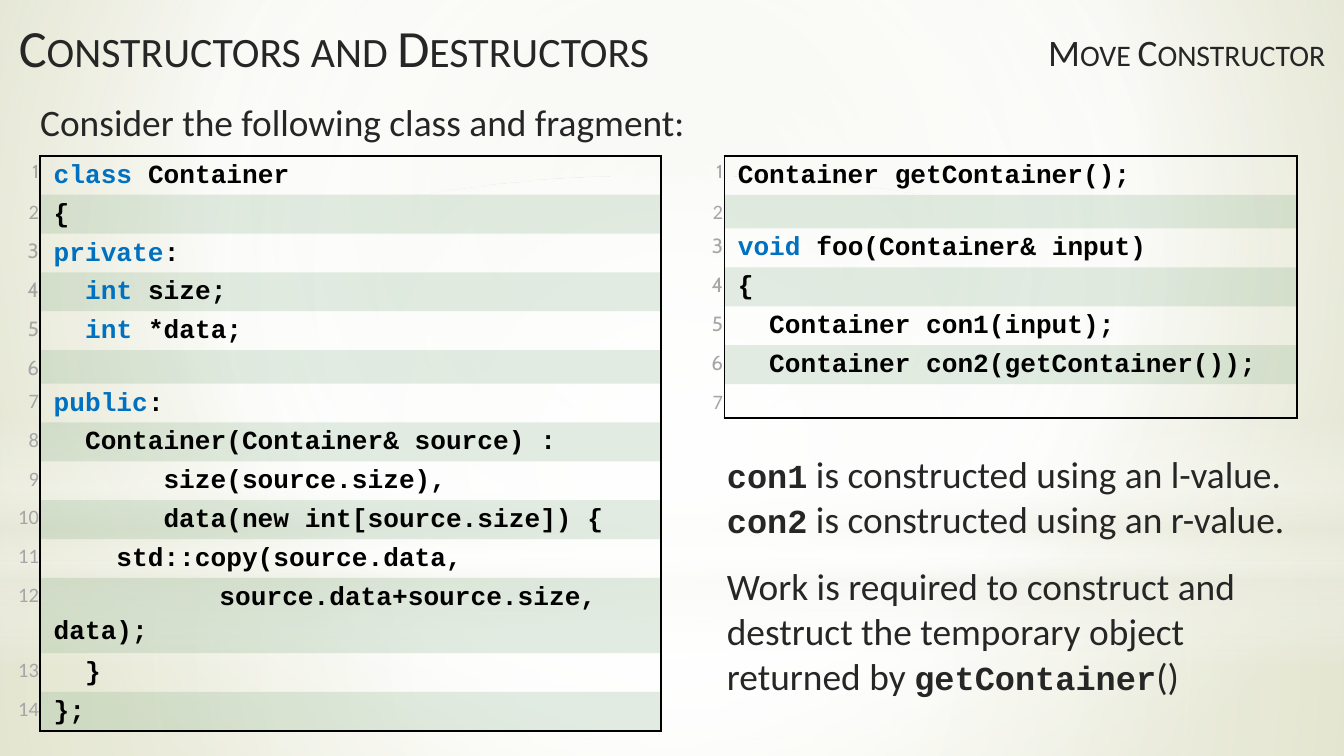
from dataclasses import dataclass

import pptx
import pptx.dml.color
import pptx.enum.shapes
import pptx.enum.text
import pptx.oxml.ns
import pptx.util
from lxml import etree

PX = 9144
INK = "262626"
BLACK = "000000"
BLUE = "0070C0"
GRAY = "A6A6A6"
GREEN = "72A376"
WHITE = "FFFFFF"
CREAM = "EAEBDE"
TEXT = "Calibri"
MONO = "Courier New"
PLAIN = "{2D5ABB26-0587-4C30-8999-92F81FD0307C}"
KEYS = ("class", "private", "int", "public", "void")
CABIN = (1, 3, 4, 5, 6)
LEFT = pptx.enum.text.PP_ALIGN.LEFT
RIGHT = pptx.enum.text.PP_ALIGN.RIGHT
SHAPE = pptx.enum.shapes.MSO_SHAPE
qn = pptx.oxml.ns.qn


@dataclass
class Box:
    left: int
    top: int
    width: int
    height: int

    def emu(self) -> list[int]:
        return [v * PX for v in (self.left, self.top, self.width, self.height)]


@dataclass
class Blend:
    stops: list[tuple]
    focus: tuple = ()


@dataclass
class Layer:
    kind: int
    box: Box
    blend: Blend


@dataclass
class Code:
    box: Box
    gutter: int
    lines: list[str]


MID = (50, 50, 50, 50)
BACK = Blend([(0, "E3E5D1", 100), (60, WHITE, 100), (100, "CCD09F", 100)], (20, 10, 20, 60))
LAYERS = [
    Layer(SHAPE.RECTANGLE, Box(0, 419, 1000, 144),
          Blend([(0, WHITE, 91), (37, WHITE, 76), (100, CREAM, 79)], MID)),
    Layer(SHAPE.RECTANGLE, Box(0, 0, 1000, 419),
          Blend([(0, WHITE, 89), (48, WHITE, 62), (100, CREAM, 79)], MID)),
    Layer(SHAPE.RECTANGLE, Box(0, 309, 1000, 188),
          Blend([(0, WHITE, 0), (29, WHITE, 30), (45, CREAM, 40),
                 (55, WHITE, 26), (65, CREAM, 60), (100, WHITE, 0)])),
    Layer(SHAPE.OVAL, Box(0, 131, 1000, 419),
          Blend([(0, WHITE, 100), (56, WHITE, 0)], MID)),
]
CODES = [
    Code(Box(-12, 116, 504, 428), 42, [
        "class Container",
        "{",
        "private:",
        "  int size;",
        "  int *data;",
        "",
        "public:",
        "  Container(Container& source) :",
        "       size(source.size),",
        "       data(new int[source.size]) {",
        "    std::copy(source.data,",
        "\t  source.data+source.size, data);",
        "  }",
        "};",
    ]),
    Code(Box(500, 116, 465, 195), 39, [
        "Container getContainer();",
        "",
        "void foo(Container& input)",
        "{",
        "  Container con1(input);",
        "  Container con2(getContainer());",
        "",
    ]),
]
NOTES = [
    [("con1", True), (" is constructed using an l-value. ", False),
     ("con2", True), (" is constructed using an r-value.", False)],
    [("Work is required to construct and destruct the temporary object returned by ", False),
     ("getContainer", True), ("()", False)],
]


def color(code: str):
    return pptx.dml.color.RGBColor.from_string(code)


def node(host, tag: str, **attrs):
    return etree.SubElement(host, qn(tag), {k: str(v) for k, v in attrs.items()})


def style(font, name: str, size: int, code: str, bold: bool = False) -> None:
    font.name = name
    font.size = pptx.util.Pt(size)
    font.bold = bold
    font.color.rgb = color(code)


def shade(fill, root, blend: Blend) -> None:
    fill.gradient()
    grad = root.find(".//" + qn("a:gradFill"))
    grad.clear()
    grad.set("rotWithShape", "1")
    stops = node(grad, "a:gsLst")
    for pos, code, alpha in blend.stops:
        stop = node(stops, "a:gs", pos=pos * 1000)
        node(node(stop, "a:srgbClr", val=code), "a:alpha", val=alpha * 1000)
    if blend.focus:
        sides = dict(zip("ltrb", (v * 1000 for v in blend.focus)))
        node(node(grad, "a:path", path="circle"), "a:fillToRect", **sides)
    else:
        node(grad, "a:lin", ang=5400000, scaled=0)


def cover(slide, layer: Layer) -> None:
    shape = slide.shapes.add_shape(layer.kind, *layer.box.emu())
    shape.shadow.inherit = False
    shape.line.fill.background()
    shade(shape.fill, shape._element, layer.blend)


def write(shape, text: str, size: int, align, caps: bool) -> None:
    shape.text_frame.word_wrap = True
    shape.text_frame.vertical_anchor = pptx.enum.text.MSO_ANCHOR.TOP
    para = shape.text_frame.paragraphs[0]
    para.text = text
    para.alignment = align
    style(para.font, TEXT, size, INK)
    if caps:
        para.font._element.set("cap", "small")


def label(slide, box: Box, text: str, align, caps: bool = False) -> None:
    write(slide.shapes.add_textbox(*box.emu()), text, 20, align, caps)


def explain(slide, box: Box) -> None:
    frame = slide.shapes.add_textbox(*box.emu()).text_frame
    frame.word_wrap = True
    for i, parts in enumerate(NOTES):
        para = frame.add_paragraph() if i else frame.paragraphs[0]
        if i:
            para.space_before = pptx.util.Pt(12)
        style(para.font, TEXT, 20, INK)
        for text, mono in parts:
            run = para.add_run()
            run.text = text
            if mono:
                style(run.font, MONO, 18, INK, True)


def edge(cell, sides: str) -> None:
    props = cell._tc.get_or_add_tcPr()
    for side in "LRTB":
        line = node(props, "a:ln" + side, w=12700)
        if side in sides:
            node(node(line, "a:solidFill"), "a:srgbClr", val=BLACK)
        else:
            node(line, "a:noFill")


def setup(cell, sides: str):
    cell.margin_left = cell.margin_right = PX
    cell.margin_top = cell.margin_bottom = PX
    edge(cell, sides)
    cell.fill.background()
    para = cell.text_frame.paragraphs[0]
    para.line_spacing = 1.15
    return para


def tint(cell) -> None:
    cell.fill.solid()
    cell.fill.fore_color.rgb = color(GREEN)
    fill = cell._tc.tcPr.find(qn("a:solidFill"))
    node(fill.find(qn("a:srgbClr")), "a:alpha", val=20000)


def fill_code(para, line: str) -> None:
    props = para._p.get_or_add_pPr()
    props.set("marL", str(9 * PX))
    props.set("indent", "0")
    props.set("defTabSz", str(100 * PX))
    style(para.font, MONO, 14 if line else 11, BLACK, True)
    body = line.lstrip()
    key = next((k for k in KEYS if body.startswith(k)), "")
    lead = line[:len(line) - len(body)] if key else ""
    for part in (lead, key, line[len(lead + key):]):
        if part:
            run = para.add_run()
            run.text = part
            if part == key:
                run.font.color.rgb = color(BLUE)


def listing(slide, code: Code) -> None:
    count = len(code.lines)
    table = slide.shapes.add_table(count, 2, *code.box.emu()).table
    table.first_row = table.horz_banding = False
    table._tbl.tblPr.find(qn("a:tableStyleId")).text = PLAIN
    table.columns[0].width = code.gutter * PX
    table.columns[1].width = (code.box.width - code.gutter) * PX
    fixed = [25 if not s else 56 if "\t" in s else 0 for s in code.lines]
    even = (code.box.height - sum(fixed)) * PX // fixed.count(0)
    for i, line in enumerate(code.lines):
        table.rows[i].height = fixed[i] * PX or even
        mark = setup(table.cell(i, 0), "R")
        mark.text = str(i + 1)
        mark.alignment = RIGHT
        style(mark.font, "Cabin" if i + 1 in CABIN else TEXT, 11 if i else 10, GRAY)
        cell = table.cell(i, 1)
        sides = "LR" + "T" * (i == 0) + "B" * (i == count - 1)
        fill_code(setup(cell, sides), line)
        if i % 2:
            tint(cell)


def main() -> None:
    deck = pptx.Presentation()
    deck.slide_width = 1000 * PX
    deck.slide_height = deck.slide_width * 9 // 16
    slide = deck.slides.add_slide(deck.slide_layouts[5])
    shade(slide.background.fill, slide._element, BACK)
    for layer in LAYERS:
        cover(slide, layer)
    title = slide.shapes.title
    slide.shapes._spTree.append(title._element)
    title.left, title.top, title.width, title.height = Box(4, 6, 535, 63).emu()
    write(title, "Constructors and Destructors", 28, LEFT, True)
    label(slide, Box(642, 17, 354, 44), "Move Constructor", RIGHT, True)
    explain(slide, Box(531, 331, 441, 202))
    for code in CODES:
        listing(slide, code)
    label(slide, Box(20, 69, 512, 44), "Consider the following class and fragment:", LEFT)
    deck.save("out.pptx")


if __name__ == "__main__":
    main()
